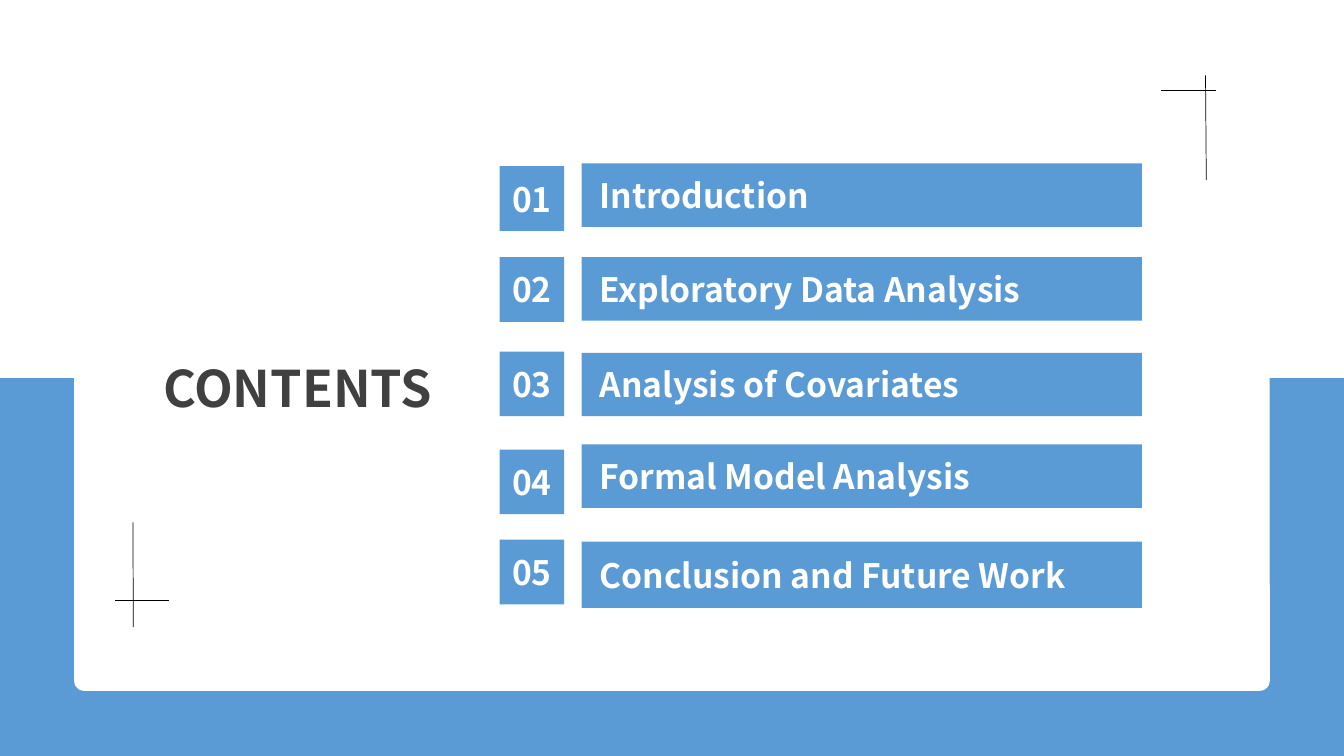
from dataclasses import dataclass

from lxml.etree import SubElement
from pptx import Presentation
from pptx.dml.color import RGBColor
from pptx.enum.shapes import MSO_CONNECTOR, MSO_SHAPE
from pptx.enum.text import MSO_ANCHOR, PP_ALIGN
from pptx.oxml.ns import qn
from pptx.util import Cm, Pt


@dataclass(frozen=True)
class Theme:
    accent: RGBColor = RGBColor(0x5B, 0x9B, 0xD5)
    paper: RGBColor = RGBColor(0xFF, 0xFF, 0xFF)
    heading: RGBColor = RGBColor(0x40, 0x40, 0x40)
    mark: RGBColor = RGBColor(0, 0, 0)
    typeface: str = "Noto Sans CJK SC"
    heading_size: Pt = Pt(36)
    entry_size: Pt = Pt(24)
    hairline: Pt = Pt(0.5)


THEME = Theme()
SLIDE_WIDTH, SLIDE_HEIGHT = 33.87, 19.05
NUMBER_LEFT, NUMBER_SIDE = 12.59, 1.63
BAR_LEFT, BAR_WIDTH = 14.66, 14.12

# Entry, top of its number square, top and height of its bar (cm)
ENTRIES = [
    ("Introduction", 4.19, 4.12, 1.6),
    ("Exploratory Data Analysis", 6.48, 6.48, 1.6),
    ("Analysis of Covariates", 8.86, 8.89, 1.6),
    ("Formal Model Analysis", 11.33, 11.2, 1.6),
    ("Conclusion and Future Work", 13.6, 13.65, 1.67),
]

# Ends of the strokes that form the two corner crosses (cm)
CORNER_STROKES = [
    (29.27, 2.28, 30.64, 2.28),
    (30.38, 1.9, 30.4, 4.54),
    (2.9, 15.13, 4.26, 15.13),
    (3.35, 13.16, 3.36, 15.8),
]


def apply_format(target, values):
    for attribute, value in values.items():
        setattr(target, attribute, value)


def write_text(shape, text, size, color, align, inset=0.13):
    frame = shape.text_frame
    frame.text = text
    apply_format(frame, {
        "word_wrap": True,
        "vertical_anchor": MSO_ANCHOR.MIDDLE,
        "margin_left": Cm(inset),
        "margin_right": Cm(0.13),
        "margin_top": Cm(0),
        "margin_bottom": Cm(0),
    })
    paragraph = frame.paragraphs[0]
    paragraph.alignment = align
    apply_format(paragraph.font, {"name": THEME.typeface, "size": size, "bold": True})
    paragraph.font.color.rgb = color


def add_block(slide, left, top, width, height, fill, preset=MSO_SHAPE.RECTANGLE):
    block = slide.shapes.add_shape(preset, Cm(left), Cm(top), Cm(width), Cm(height))
    block.shadow.inherit = False
    block.fill.solid()
    block.fill.fore_color.rgb = fill
    block.line.fill.background()
    return block


def add_stroke(slide, *ends):
    stroke = slide.shapes.add_connector(MSO_CONNECTOR.STRAIGHT, *map(Cm, ends))
    stroke.line.color.rgb = THEME.mark
    stroke.line.width = THEME.hairline
    SubElement(stroke._element.spPr, qn("a:effectLst"))


def add_backdrop(slide):
    band = add_block(slide, 0, SLIDE_HEIGHT / 2, SLIDE_WIDTH, SLIDE_HEIGHT / 2, THEME.accent)
    band.line.color.rgb = THEME.accent
    band.line.width = THEME.hairline
    panel = add_block(slide, 1.87, 1.65, 30.13, 15.76, THEME.paper, MSO_SHAPE.ROUNDED_RECTANGLE)
    panel.adjustments[0] = 0.016


def add_heading(slide, text):
    """Place the title placeholder in front of the backdrop."""
    heading = slide.shapes.title
    apply_format(heading, {
        "left": Cm(3.45), "top": Cm(8.86), "width": Cm(8.1), "height": Cm(1.8),
    })
    write_text(heading, text, THEME.heading_size, THEME.heading, PP_ALIGN.CENTER)
    heading.element.getparent().append(heading.element)


def add_entry(slide, number, text, number_top, bar_top, bar_height):
    square = add_block(slide, NUMBER_LEFT, number_top, NUMBER_SIDE, NUMBER_SIDE, THEME.accent)
    write_text(square, f"{number:02}", THEME.entry_size, THEME.paper, PP_ALIGN.CENTER)
    bar = add_block(slide, BAR_LEFT, bar_top, BAR_WIDTH, bar_height, THEME.accent)
    write_text(bar, text, THEME.entry_size, THEME.paper, PP_ALIGN.LEFT, inset=0.45)


def main():
    presentation = Presentation()
    presentation.slide_width = Cm(SLIDE_WIDTH)
    presentation.slide_height = Cm(SLIDE_HEIGHT)
    title_only = presentation.slide_layouts[5]
    slide = presentation.slides.add_slide(title_only)

    add_backdrop(slide)
    for ends in CORNER_STROKES:
        add_stroke(slide, *ends)
    add_heading(slide, "CONTENTS")
    for number, entry in enumerate(ENTRIES, start=1):
        add_entry(slide, number, *entry)

    presentation.save("out.pptx")


if __name__ == "__main__":
    main()
